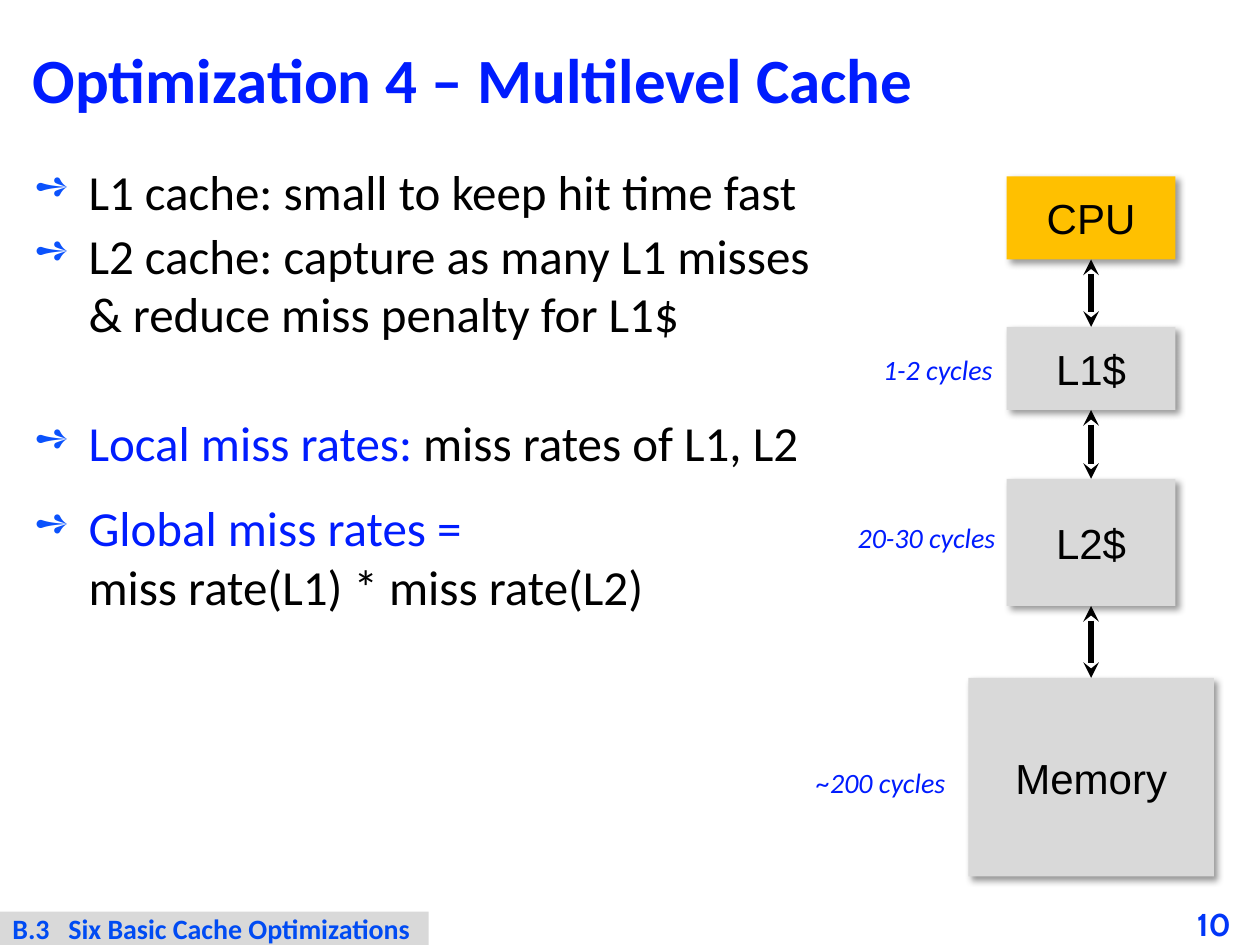
"""Build the multilevel cache slide."""
from lxml import etree
from pptx import Presentation, oxml
from pptx.dml.color import RGBColor
from pptx.enum import shapes, text
from pptx.oxml import ns
from pptx.util import Pt

BLUE, BLACK, GREY, GOLD = "001CFE", "000000", "D9D9D9", "FFC000"


def rgb(code):
    return RGBColor.from_string(code)


def add(node, tag, **attrs):
    return etree.SubElement(node, ns.qn("a:" + tag), {k: str(v) for k, v in attrs.items()})


def write(par, words, size=28, hue=BLACK, face="Calibri", bold=False, slant=False):
    run = par.add_run()
    run.text = words
    font = run.font
    font.size, font.name, font.bold, font.italic = Pt(size), face, bold, slant
    font.color.rgb = rgb(hue)


def hang(par, left, back):
    props = par._p.get_or_add_pPr()
    props.set("marL", str(Pt(left)))
    props.set("indent", str(-Pt(back)))
    return props


class Deck:
    def __init__(self):
        self.prs = Presentation()
        self.prs.slide_width, self.prs.slide_height = Pt(720), Pt(540)
        self.slide = self.prs.slides.add_slide(self.prs.slide_layouts[5])
        self.shapes = self.slide.shapes

    def title(self, words, x, y, w, h):
        box = self.shapes.title
        box.left, box.top, box.width, box.height = map(Pt, (x, y, w, h))
        frame = box.text_frame
        frame.vertical_anchor = text.MSO_ANCHOR.MIDDLE
        par = frame.paragraphs[0]
        par.alignment, par.line_spacing = text.PP_ALIGN.LEFT, 0.87
        write(par, words, 36, BLUE, bold=True)

    def label(self, words, x, y, w, h, pad=True, **style):
        frame = self.shapes.add_textbox(*map(Pt, (x, y, w, h))).text_frame
        frame.word_wrap = False
        if not pad:
            frame.margin_left = frame.margin_right = 0
            frame.margin_top = frame.margin_bottom = 0
            frame.vertical_anchor = text.MSO_ANCHOR.MIDDLE
        write(frame.paragraphs[0], words, **style)

    def bullets(self, items, x, y, w, h):
        frame = self.shapes.add_textbox(*map(Pt, (x, y, w, h))).text_frame
        frame.word_wrap = True
        for i, (gap, lines) in enumerate(items):
            par = frame.add_paragraph() if i else frame.paragraphs[0]
            par.space_before, par.space_after = Pt(gap), Pt(3)
            props = hang(par, 32, 31)
            add(add(props, "buClr"), "srgbClr", val="0B52FC")
            add(props, "buSzPct", val=85000)
            add(props, "buChar", char="➺")
            for j, line in enumerate(lines):
                if j:
                    par.add_line_break()
                for words, hue in line:
                    write(par, words, hue=hue)

    def rect(self, x, y, w, h, fill):
        box = self.shapes.add_shape(shapes.MSO_SHAPE.RECTANGLE, *map(Pt, (x, y, w, h)))
        box.shadow.inherit = False
        box.fill.solid()
        box.fill.fore_color.rgb = rgb(fill)
        box.line.fill.background()
        box.text_frame.word_wrap = False
        return box

    def block(self, words, x, y, w, h, fill):
        box = self.rect(x, y, w, h, fill)
        glow = add(box._element.spPr.find(ns.qn("a:effectLst")), "outerShdw",
                   blurRad=Pt(4), dist=Pt(3), dir=45 * 60000, algn="tl", rotWithShape=0)
        add(add(glow, "srgbClr", val=BLACK), "alpha", val=40000)
        par = box.text_frame.paragraphs[0]
        par.alignment = text.PP_ALIGN.CENTER
        write(par, words, 24, face="Arial")

    def footer(self, mark, words, x, y, w, h):
        frame = self.rect(x, y, w, h, GREY).text_frame
        frame.margin_top = frame.margin_bottom = 0
        frame.vertical_anchor = text.MSO_ANCHOR.TOP
        par = frame.paragraphs[0]
        par.alignment = text.PP_ALIGN.LEFT
        hang(par, 32, 32)
        write(par, f"{mark}\t{words}", 16, "004BF3", bold=True)

    def arrow(self, x, top, end):
        link = self.shapes.add_connector(shapes.MSO_CONNECTOR.STRAIGHT,
                                         Pt(x), Pt(top), Pt(x), Pt(end))
        link.line.color.rgb = rgb(BLACK)
        link.line.width = Pt(3)
        line = link.line._get_or_add_ln()
        add(line, "headEnd", type="stealth")
        add(line, "tailEnd", type="stealth")
        add(link._element.spPr, "effectLst")


def main():
    deck = Deck()
    deck.title("Optimization 4 – Multilevel Cache", 11.5, 11.5, 697, 72.7)
    deck.bullets([
        (0, [[("L1 cache: small to keep hit time fast", BLACK)]]),
        (0, [[("L2 cache: capture as many L1 misses & reduce miss penalty for L1$", BLACK)]]),
        (37, [[("Local miss rates:", BLUE), (" miss rates of L1, L2", BLACK)]]),
        (12, [[("Global miss rates =", BLUE)], [("miss rate(L1) * miss rate(L2)", BLACK)]]),
    ], 11.5, 88.5, 480, 437)
    deck.label("10", 684, 516, 36, 24, pad=False,
               size=18, hue="0136F8", face="Cabin", bold=True)
    deck.footer("B.3", "Six Basic Cache Optimizations", 0, 521, 245, 19.4)

    mid, last = 623.5, None
    for name, top, wide, high, fill in [
        ("CPU", 100.8, 96.5, 47.5, GOLD),
        ("L1$", 186.8, 96.5, 47.5, GREY),
        ("L2$", 273.6, 96.5, 72.7, GREY),
        ("Memory", 387.4, 140.4, 113.5, GREY),
    ]:
        deck.block(name, mid - wide / 2, top, wide, high, fill)
        if last:
            deck.arrow(mid, last, top)
        last = top + high

    for words, x, y, wide in [
        ("1-2 cycles", 497.5, 198, 77.8),
        ("20-30 cycles", 483, 293.8, 94.3),
        ("~200 cycles", 459.4, 434.2, 89.3),
    ]:
        deck.label(words, x, y, wide, 26.6, size=16, hue=BLUE, slant=True)
    deck.prs.save("out.pptx")


if __name__ == "__main__":
    main()
